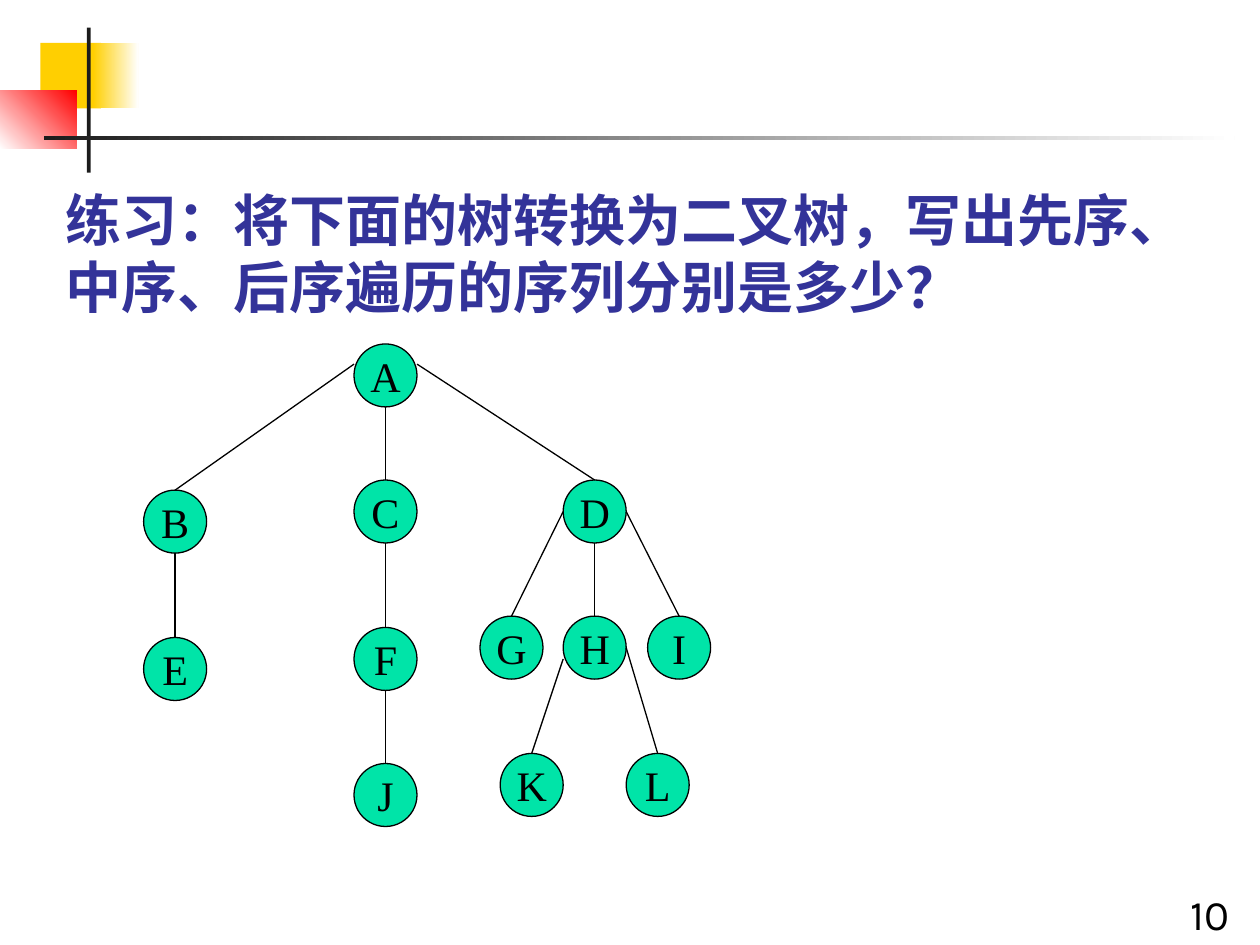
from lxml.etree import SubElement
from pptx import Presentation
from pptx.dml.color import RGBColor
from pptx.enum.shapes import MSO_CONNECTOR, MSO_SHAPE
from pptx.enum.text import MSO_ANCHOR, PP_ALIGN
from pptx.oxml.ns import qn
from pptx.util import Inches, Pt

YELLOW, RED, GREEN = "FFCF01", "FF0000", "00E4A8"
BLACK, WHITE, CHARCOAL, NAVY = "000000", "FFFFFF", "1C1C1C", "333399"
NODE_SIZE = 0.5

# Left and top of each tree node
NODES = {
    "A": (2.81, 2.73),
    "B": (1.14, 3.89), "C": (2.81, 3.81), "D": (4.47, 3.81),
    "E": (1.14, 5.06), "F": (2.81, 4.98),
    "G": (3.81, 4.89), "H": (4.47, 4.89), "I": (5.14, 4.89),
    "J": (2.81, 6.06), "K": (3.97, 5.98), "L": (4.97, 5.98),
}

# Where an edge leaves its parent, as an offset from the node's corner
BOTTOM = (0.25, 0.5)
LEFT, RIGHT = (0, 0.25), (0.5, 0.25)
EDGES = [
    ("A", "B", (0, 0.16)), ("A", "C", BOTTOM), ("A", "D", (0.5, 0.16)),
    ("B", "E", BOTTOM), ("C", "F", BOTTOM), ("F", "J", BOTTOM),
    ("D", "G", LEFT), ("D", "H", BOTTOM), ("D", "I", RIGHT),
    ("H", "K", (0, 0.34)), ("H", "L", RIGHT),
]


def rgb(color):
    return RGBColor.from_string(color)


def style_run(paragraph, font_name, size, color, bold=False):
    for run in paragraph.runs:
        font = run.font
        font.name, font.size, font.bold = font_name, Pt(size), bold
        font.color.rgb = rgb(color)
        SubElement(run._r.get_or_add_rPr(), qn("a:ea")).set("typeface", font_name)


def add_block(slide, box, start, end=None, angle=0):
    """Rectangle with a solid fill, or a gradient when an end colour is given."""
    block = slide.shapes.add_shape(MSO_SHAPE.RECTANGLE, *map(Inches, box))
    block.shadow.inherit = False
    block.line.fill.background()
    if end is None:
        block.fill.solid()
        block.fill.fore_color.rgb = rgb(start)
        return
    block.fill.gradient()
    block.fill.gradient_angle = angle
    for stop, color, position in zip(block.fill.gradient_stops, (start, end), (0, 1)):
        stop.color.rgb = rgb(color)
        stop.position = position


def add_question(slide, text):
    question = slide.shapes.title
    question.left, question.top = Inches(0.42), Inches(1.42)
    question.width, question.height = Inches(8.75), Inches(1.18)
    frame = question.text_frame
    frame.text = text
    frame.word_wrap = True
    frame.vertical_anchor = MSO_ANCHOR.TOP
    paragraph = frame.paragraphs[0]
    paragraph.alignment = PP_ALIGN.LEFT
    paragraph.line_spacing = Pt(38.5)
    style_run(paragraph, "Noto Sans CJK SC", 32, NAVY, bold=True)


def add_page_number(slide, number):
    page = slide.shapes.add_textbox(Inches(9.35), Inches(7), Inches(0.65), Inches(0.5))
    page.text_frame.word_wrap = True
    page.text_frame.text = number
    style_run(page.text_frame.paragraphs[0], "Karla", 24, BLACK)


def add_node(tree, letter, left, top):
    node = tree.shapes.add_shape(MSO_SHAPE.FLOWCHART_CONNECTOR, Inches(left),
                                 Inches(top), Inches(NODE_SIZE), Inches(NODE_SIZE))
    node.shadow.inherit = False
    node.fill.solid()
    node.fill.fore_color.rgb = rgb(GREEN)
    node.line.color.rgb = rgb(BLACK)
    node.line.width = Pt(0.75)
    frame = node.text_frame
    frame.text = letter
    frame.word_wrap = False
    frame.vertical_anchor = MSO_ANCHOR.MIDDLE
    frame.paragraphs[0].alignment = PP_ALIGN.CENTER
    style_run(frame.paragraphs[0], "Times New Roman", 24, BLACK)


def add_edge(tree, parent, child, offset):
    """Line from a point on the parent to the top centre of the child."""
    (parent_x, parent_y), (child_x, child_y) = NODES[parent], NODES[child]
    ends = (parent_x + offset[0], parent_y + offset[1],
            child_x + NODE_SIZE / 2, child_y)
    edge = tree.shapes.add_connector(MSO_CONNECTOR.STRAIGHT, *map(Inches, ends))
    edge.line.color.rgb = rgb(BLACK)
    edge.line.width = Pt(0.75)
    SubElement(edge._element.spPr, qn("a:effectLst"))


def main():
    deck = Presentation()
    deck.slide_width, deck.slide_height = Inches(10), Inches(7.5)
    slide = deck.slides.add_slide(deck.slide_layouts[5])

    # Corner decoration
    add_block(slide, (0.32, 0.34, 0.48, 0.52), YELLOW)
    add_block(slide, (0.74, 0.34, 0.36, 0.52), YELLOW, WHITE)
    add_block(slide, (0, 0.72, 0.61, 0.46), WHITE, RED, angle=45)
    add_block(slide, (0.69, 0.22, 0.03, 1.15), CHARCOAL)
    add_block(slide, (0.35, 1.08, 9.45, 0.03), CHARCOAL, WHITE)

    # Wording
    add_page_number(slide, "10")
    add_question(slide, "练习：将下面的树转换为二叉树，写出先序、"
                        "中序、后序遍历的序列分别是多少？")

    # Tree
    tree = slide.shapes.add_group_shape()
    for letter, (left, top) in NODES.items():
        add_node(tree, letter, left, top)
    for parent, child, offset in EDGES:
        add_edge(tree, parent, child, offset)

    deck.save("out.pptx")


if __name__ == "__main__":
    main()
